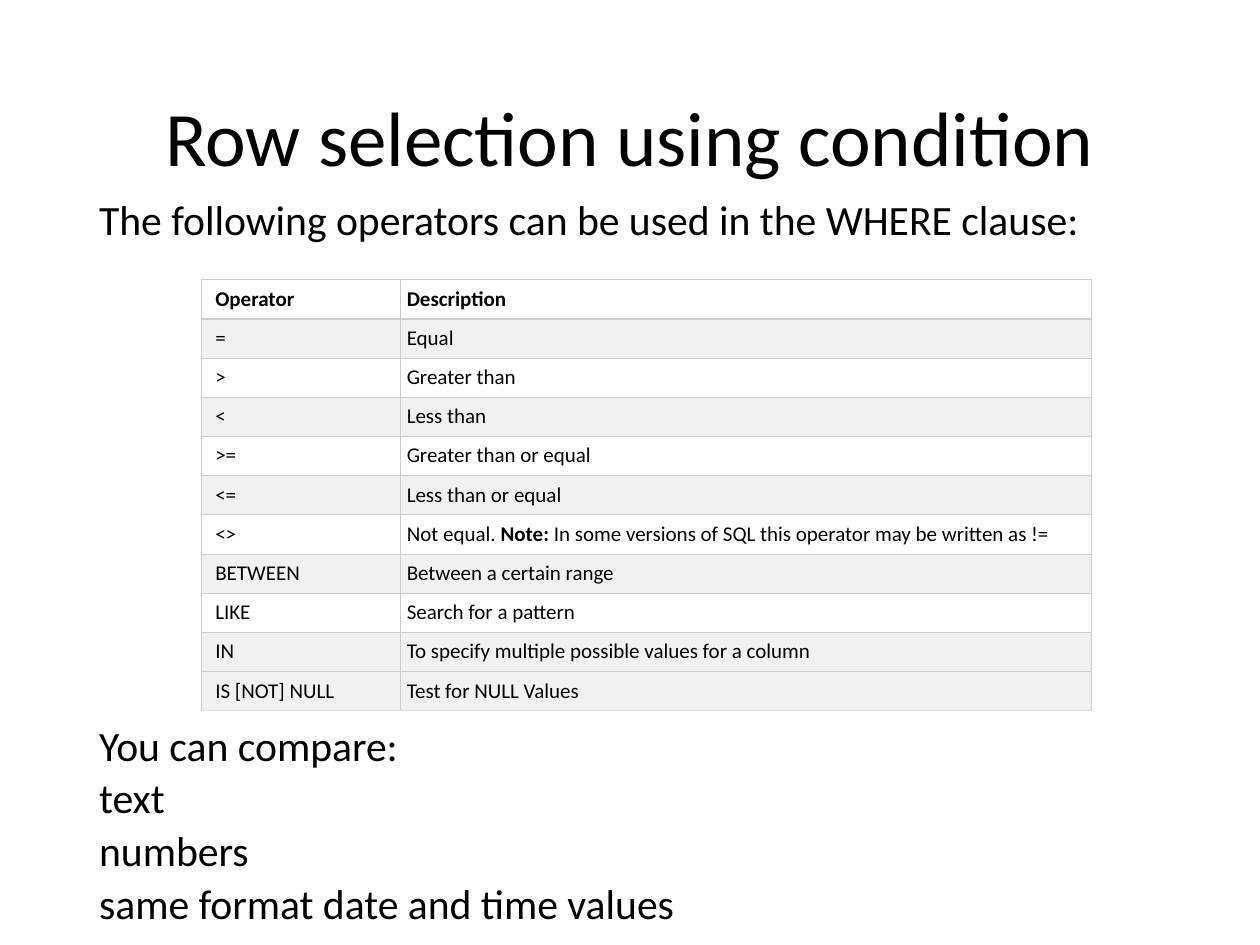
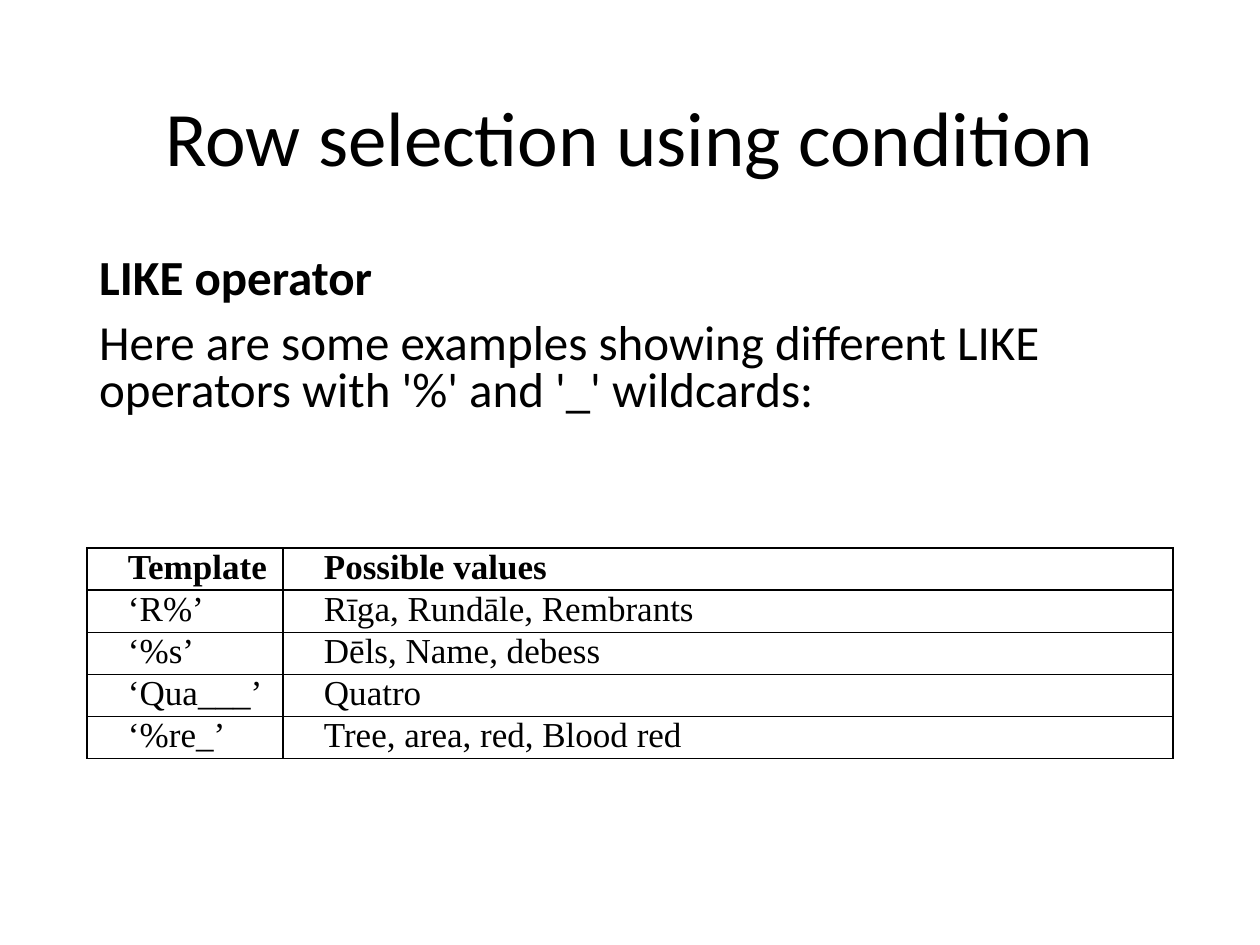
"""Build two slides on row selection with SQL conditions."""
from lxml.etree import SubElement
from pptx import Presentation
from pptx.dml.color import RGBColor
from pptx.enum.text import MSO_ANCHOR as Anchor, MSO_AUTO_SIZE as AutoSize, PP_ALIGN as Align
from pptx.oxml.ns import qn
from pptx.util import Cm, Pt

TITLE = "Row selection using condition"
LEFT, WIDTH = 1.75, 21.9
ROW_HEIGHT = 0.79
SANS, SERIF = "Calibri", "Times New Roman"
BLACK, WHITE, BAND = "000000", "FFFFFF", "F1F1F1"
RULE, LAST_RULE = "CCCCCC", "DDDDDD"

OPERATORS = [
    ("Operator", "Description"),
    ("=", "Equal"),
    (">", "Greater than"),
    ("<", "Less than"),
    (">=", "Greater than or equal"),
    ("<=", "Less than or equal"),
    ("<>", [("Not equal. ", False), ("Note:", True),
            (" In some versions of SQL this operator may be written as !=", False)]),
    ("BETWEEN", "Between a certain range"),
    ("LIKE", "Search for a pattern"),
    ("IN", "To specify multiple possible values for a column"),
    ("IS [NOT] NULL", "Test for NULL Values"),
]
TEMPLATES = [
    ("Template", "Possible values"),
    ("‘R%’", "Rīga, Rundāle, Rembrants"),
    ("‘%s’", "Dēls, Name, debess"),
    ("‘Qua___’", "Quatro"),
    ("‘%re_’", "Tree, area, red, Blood red"),
]


def rgb(color):
    """Turn a hex string into a colour."""
    return RGBColor.from_string(color)


class Deck:
    """Holds the presentation, its style and the current slide."""

    def __init__(self):
        """Start an empty 4:3 presentation."""
        self.prs = Presentation()
        self.prs.slide_width, self.prs.slide_height = Cm(25.4), Cm(19.05)
        self.slide = None

    def add_slide(self, title):
        """Add a title-only slide and format its title."""
        self.slide = self.prs.slides.add_slide(self.prs.slide_layouts[5])
        sp = self.slide.shapes.title
        sp.left, sp.top, sp.width, sp.height = Cm(LEFT), Cm(1.02), Cm(WIDTH), Cm(3.68)
        tf = sp.text_frame
        tf.auto_size, tf.vertical_anchor = AutoSize.NONE, Anchor.MIDDLE
        p = tf.paragraphs[0]
        p.alignment, p.line_spacing = Align.CENTER, 0.9
        self.add_run(p, title, 44)

    def add_run(self, p, text, size, bold=False, font=SANS):
        """Add one formatted run to a paragraph."""
        r = p.add_run()
        r.text = text
        r.font.name, r.font.size, r.font.bold = font, Pt(size), bold
        r.font.color.rgb = rgb(BLACK)

    def add_body(self, top, height, paragraphs, size, spacing):
        """Add body text from (text, space before, bold) paragraphs."""
        sp = self.slide.shapes.add_textbox(Cm(LEFT), Cm(top), Cm(WIDTH), Cm(height))
        tf = sp.text_frame
        tf.word_wrap = True
        for i, (text, before, bold) in enumerate(paragraphs):
            p = tf.add_paragraph() if i else tf.paragraphs[0]
            p.line_spacing, p.space_before = spacing, Pt(before)
            self.add_run(p, text, size, bold)

    def add_border(self, cell, colors, width):
        """Draw the left, right, top and bottom lines of a cell."""
        tc_pr = cell._tc.get_or_add_tcPr()
        for i, (side, color) in enumerate(zip("LRTB", colors)):
            ln = SubElement(tc_pr, qn(f"a:ln{side}"), w=str(Pt(width)))
            fill = SubElement(ln, qn("a:solidFill"))
            SubElement(fill, qn("a:srgbClr"), val=color)
            tc_pr.insert(i, ln)

    def add_table(self, left, top, widths, rows, style_cell):
        """Add a plain table and let style_cell(cell, row, column) finish each cell."""
        frame = self.slide.shapes.add_table(
            len(rows), len(widths), Cm(left), Cm(top),
            Cm(sum(widths)), Cm(ROW_HEIGHT * len(rows)))
        table = frame.table
        table.first_row = table.horz_banding = False
        for column, width in zip(table.columns, widths):
            column.width = Cm(width)
        for i, row in enumerate(rows):
            table.rows[i].height = Cm(ROW_HEIGHT)
            for j, content in enumerate(row):
                runs = [(content, i == 0)] if isinstance(content, str) else content
                style_cell(table.cell(i, j), i, j, runs)

    def style_operator(self, cell, i, j, runs):
        """Format a cell of the banded operator table."""
        last = i == len(OPERATORS) - 1
        cell.margin_left = Cm(0.13 if j else 0.28)
        cell.margin_right = cell.margin_top = cell.margin_bottom = Cm(0.13)
        cell.fill.solid()
        cell.fill.fore_color.rgb = rgb(BAND if i % 2 or last else WHITE)
        self.add_border(cell, [RULE] * 3 + [LAST_RULE if last else RULE], 0.75)
        for text, bold in runs:
            self.add_run(cell.text_frame.paragraphs[0], text, 12, bold)

    def style_template(self, cell, i, j, runs):
        """Format a cell of the ruled template table."""
        cell.margin_left = cell.margin_right = Cm(0.19)
        cell.margin_top = cell.margin_bottom = 0
        cell.fill.background()
        self.add_border(cell, [BLACK] * 4, 1)
        p = cell.text_frame.paragraphs[0]
        p.alignment = Align.JUSTIFY
        p_pr = p._p.get_or_add_pPr()
        p_pr.set("marL", "0")
        p_pr.set("indent", str(Cm(0.64)))
        for text, bold in runs:
            self.add_run(p, text, 20, bold, SERIF)


def main():
    """Build both slides and save them."""
    deck = Deck()

    deck.add_slide(TITLE)
    deck.add_body(4.06, 14.86, [
        ("The following operators can be used in the WHERE clause:", 0, False),
        ("You can compare:", 280.5, False),
        ("text", 10, False),
        ("numbers", 10, False),
        ("same format date and time values", 10, False),
    ], 23.8, 0.7)
    deck.add_table(4.06, 5.64, [4.01, 13.94], OPERATORS, deck.style_operator)

    deck.add_slide(TITLE)
    deck.add_body(5.08, 3.63, [
        ("LIKE operator", 0, True),
        ("Here are some examples showing different LIKE operators "
         "with '%' and '_' wildcards:", 10, False),
    ], 28, 0.8)
    deck.add_table(LEFT, 11.05, [3.95, 17.95], TEMPLATES, deck.style_template)

    deck.prs.save("out.pptx")


if __name__ == "__main__":
    main()
